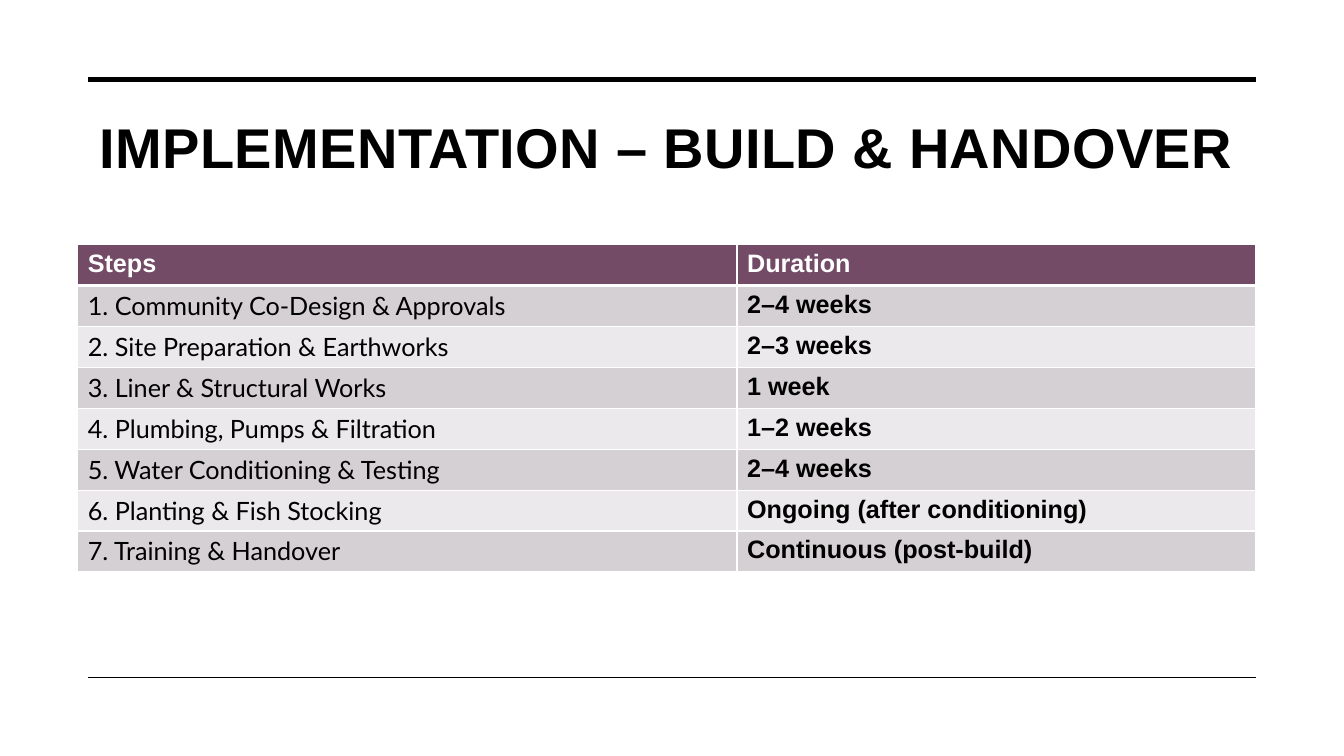
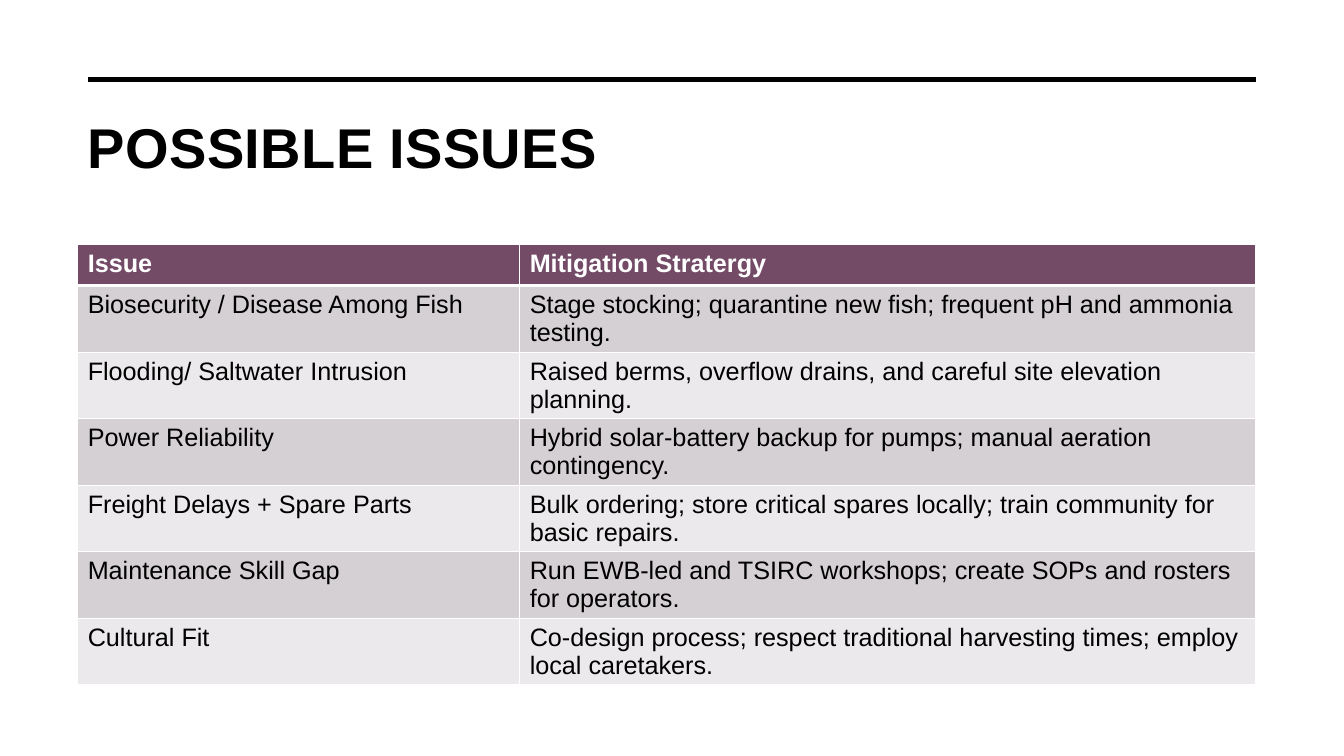
from lxml import etree
from pptx import Presentation
from pptx import util as u
from pptx.dml.color import RGBColor
from pptx.enum import shapes, text
from pptx.oxml import ns

BLACK, WHITE, PLUM = "000000", "FFFFFF", "734B67"
BANDS = "D5D0D3", "EBE9EB"
LEFT, WIDTH = 74, 1122
RULE_LEFT = 84
TITLE_TOP, TITLE_HEIGHT = 96, 137
HEADER_HEIGHT = 39
REGULAR, BOLD, LATO = ("Arial", False), ("Arial", True), ("Lato", False)

STEPS = [
    ("Steps", "Duration"),
    ("1. Community Co-Design & Approvals", "2–4 weeks"),
    ("2. Site Preparation & Earthworks", "2–3 weeks"),
    ("3. Liner & Structural Works", "1 week"),
    ("4. Plumbing, Pumps & Filtration", "1–2 weeks"),
    ("5. Water Conditioning & Testing", "2–4 weeks"),
    ("6. Planting & Fish Stocking", "Ongoing (after conditioning)"),
    ("7. Training & Handover", "Continuous (post-build)"),
]
ISSUES = [
    ("Issue", "Mitigation Stratergy"),
    ("Biosecurity / Disease Among Fish",
     "Stage stocking; quarantine new fish; frequent pH and ammonia testing."),
    ("Flooding/ Saltwater Intrusion",
     "Raised berms, overflow drains, and careful site elevation planning."),
    ("Power Reliability",
     "Hybrid solar-battery backup for pumps; manual aeration contingency."),
    ("Freight Delays + Spare Parts",
     "Bulk ordering; store critical spares locally; train community for basic repairs."),
    ("Maintenance Skill Gap",
     "Run EWB-led and TSIRC workshops; create SOPs and rosters for operators."),
    ("Cultural Fit",
     "Co-design process; respect traditional harvesting times; employ local caretakers."),
]


def px(n):
    return u.Emu(n * 9525)


def color(value):
    return RGBColor.from_string(value)


def sub(parent, tag, **attrs):
    return etree.SubElement(parent, ns.qn(tag), attrs)


class Deck:
    """Holds the presentation, its style and the current slide."""

    def __init__(self):
        self.prs = Presentation()
        self.prs.slide_width, self.prs.slide_height = px(1280), px(720)
        self.s = None

    def slide(self, title, align=text.PP_ALIGN.LEFT):
        self.s = self.prs.slides.add_slide(self.prs.slide_layouts[5])
        self.rule(76, 3.5)
        self.rule(645, 1)
        self.title(title, align)

    def rule(self, y, weight):
        c = self.s.shapes.add_connector(
            shapes.MSO_CONNECTOR.STRAIGHT, px(RULE_LEFT), px(y), px(LEFT + WIDTH), px(y))
        c.line.color.rgb = color(BLACK)
        c.line.width = u.Pt(weight)
        sub(c._element.spPr, "a:effectLst")

    def title(self, words, align):
        sp = self.s.shapes.title
        sp.left, sp.top = px(LEFT), px(TITLE_TOP)
        sp.width, sp.height = px(WIDTH), px(TITLE_HEIGHT)
        tf = sp.text_frame
        tf.text = words
        tf.auto_size = text.MSO_AUTO_SIZE.NONE
        tf.vertical_anchor = text.MSO_ANCHOR.TOP
        tf.margin_top = px(11)
        p = tf.paragraphs[0]
        p.alignment = align
        r = p.runs[0]
        self.font(r, 40, BOLD, BLACK)
        r.font._element.set("spc", "30")

    def font(self, r, size, face, ink):
        r.font.size = u.Pt(size)
        r.font.name, r.font.bold = face
        r.font.color.rgb = color(ink)

    def table(self, rows, widths, row_height, faces):
        """Banded table under the title; faces gives each body column its font."""
        height = HEADER_HEIGHT + row_height * (len(rows) - 1)
        table = self.s.shapes.add_table(
            len(rows), len(widths), px(LEFT), px(TITLE_TOP + TITLE_HEIGHT),
            px(WIDTH), px(height)).table
        for column, width in zip(table.columns, widths):
            column.width = px(width)
        for i, row in enumerate(rows):
            table.rows[i].height = px(row_height if i else HEADER_HEIGHT)
            for j, words in enumerate(row):
                cell = table.cell(i, j)
                cell.text = words
                self.borders(cell, top=3 if i == 1 else 1, bottom=1 if i else 3)
                cell.fill.solid()
                cell.fill.fore_color.rgb = color(BANDS[(i - 1) % 2] if i else PLUM)
                self.font(cell.text_frame.paragraphs[0].runs[0], 18,
                          faces[j] if i else BOLD, BLACK if i else WHITE)

    def borders(self, cell, top, bottom):
        tc_pr = cell._tc.get_or_add_tcPr()
        for side, weight in zip("LRTB", (1, 1, top, bottom)):
            ln = sub(tc_pr, f"a:ln{side}", w=str(u.Pt(weight)))
            sub(sub(ln, "a:solidFill"), "a:srgbClr", val=WHITE)


def main():
    deck = Deck()
    deck.slide("IMPLEMENTATION – BUILD & HANDOVER", text.PP_ALIGN.CENTER)
    deck.table(STEPS, (628, 494), 39, (LATO, BOLD))
    deck.slide("POSSIBLE ISSUES")
    deck.table(ISSUES, (421, 701), 63, (REGULAR, REGULAR))
    deck.prs.save("out.pptx")


if __name__ == "__main__":
    main()
